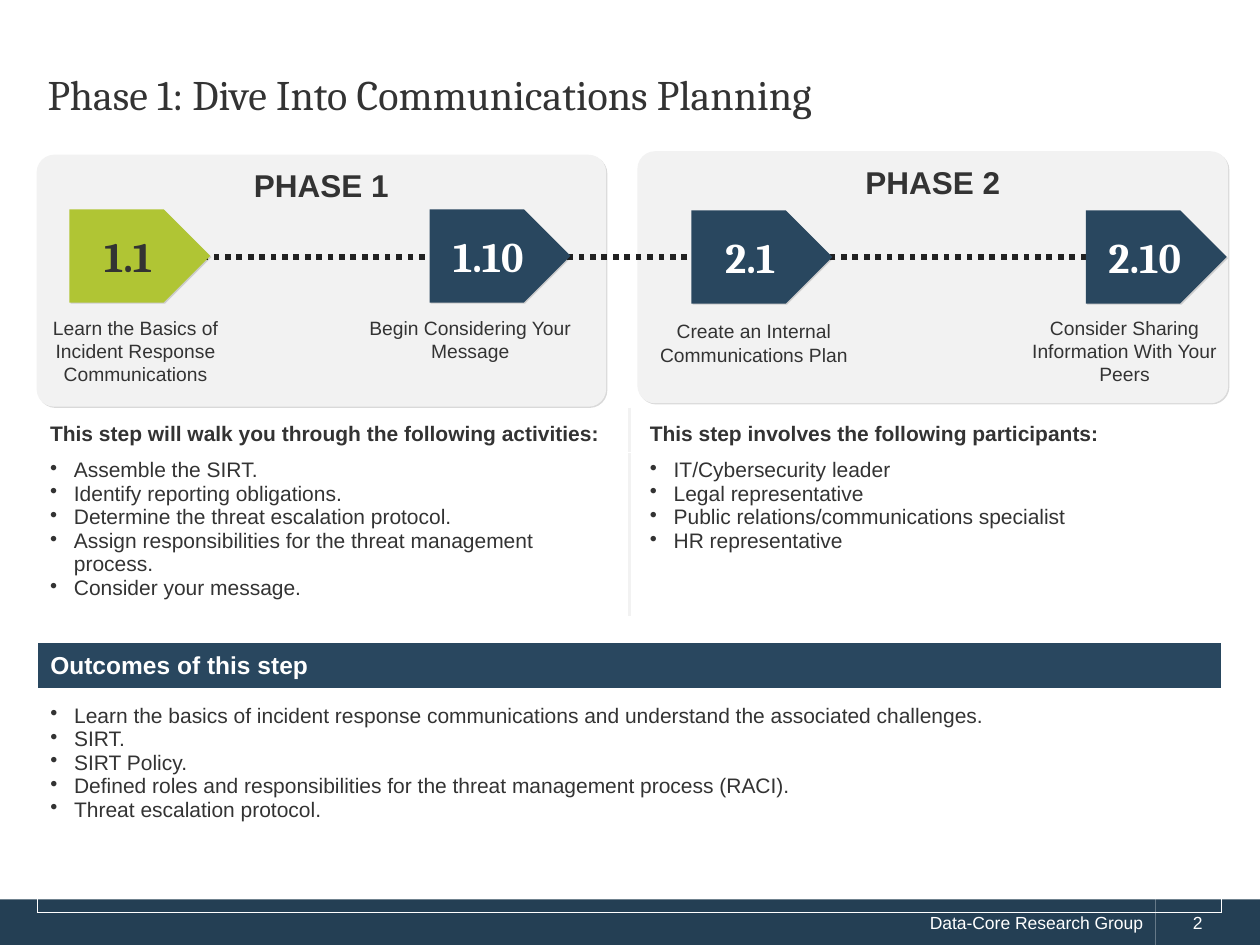
from lxml import etree
from pptx import Presentation
from pptx.dml.color import RGBColor
from pptx.enum.dml import MSO_LINE
from pptx.enum.shapes import MSO_CONNECTOR, MSO_SHAPE
from pptx.enum.text import MSO_ANCHOR, PP_ALIGN
from pptx.oxml import parse_xml
from pptx.oxml.ns import nsdecls, qn
from pptx.util import Cm, Pt

RECT, ROUNDED, PENTAGON = MSO_SHAPE.RECTANGLE, MSO_SHAPE.ROUNDED_RECTANGLE, MSO_SHAPE.PENTAGON
LEFT, CENTER, RIGHT = PP_ALIGN.LEFT, PP_ALIGN.CENTER, PP_ALIGN.RIGHT
TOP, MIDDLE, BOTTOM = MSO_ANCHOR.TOP, MSO_ANCHOR.MIDDLE, MSO_ANCHOR.BOTTOM

THEME = {
    "body": "Arial", "display": "Cambria",
    "text": "333333", "white": "FFFFFF", "navy": "29475F", "green": "B0C534",
    "panel": "F2F2F2", "footer": "243F54", "dots": "212121",
    "title_pt": 24, "step_pt": 24, "phase_pt": 18, "bar_pt": 14,
    "body_pt": 12, "caption_pt": 11, "footer_pt": 10, "spacer_pt": 6,
}

# Content; lengths in cm
TITLE = "Phase 1: Dive Into Communications Planning"
PHASES = [  # name, left, top, width
    ("PHASE 2", 12.85, 3.05, 11.91),
    ("PHASE 1", 0.74, 3.12, 11.48),
]
STEPS = [  # number, left, top, fill, text colour
    ("1.1", 1.4, 4.22, "green", "text"),
    ("1.10", 8.66, 4.22, "navy", "white"),
    ("2.1", 13.94, 4.24, "navy", "white"),
    ("2.10", 21.89, 4.24, "navy", "white"),
]
CAPTIONS = [  # text, left, top, width
    ("Learn the Basics of Incident Response Communications", 0.64, 6.25, 4.19),
    ("Begin Considering Your Message", 6.76, 6.25, 5.44),
    ("Create an Internal Communications Plan", 12.85, 6.32, 4.7),
    ("Consider Sharing Information With Your Peers", 20.47, 6.25, 4.4),
]
COLUMNS = [  # heading, items, left margin
    ("This step will walk you through the following activities:",
     ["Assemble the SIRT.",
      "Identify reporting obligations.",
      "Determine the threat escalation protocol.",
      "Assign responsibilities for the threat management process.",
      "Consider your message."], 0.25),
    ("This step involves the following participants:",
     ["IT/Cybersecurity leader",
      "Legal representative",
      "Public relations/communications specialist",
      "HR representative"], 0.41),
]
OUTCOMES_HEADING = "Outcomes of this step"
OUTCOMES = [
    "Learn the basics of incident response communications and understand the associated challenges.",
    "SIRT.",
    "SIRT Policy.",
    "Defined roles and responsibilities for the threat management process (RACI).",
    "Threat escalation protocol.",
]
FOOTER = [  # text, left, width, alignment, indent
    ("Data-Core Research Group", 0, 23.29, RIGHT, 0.74),
    ("2", 23.29, 2.11, LEFT, 0.51),
]

SLIDE_W, SLIDE_H = 25.4, 19.05
FOOTER_H = 0.92
PANEL_H, STEP_W, STEP_H = 5.08, 2.84, 1.88
LINE_Y, LINE_START, LINE_END = 5.18, 2.9, 24.66
TABLE_X, TABLE_Y, COL_W = 0.76, 8.23, 11.93
ROW_HEIGHTS = [0.89, 3.3, 0.53, 0.94, 4.5]
BULLET_INDENT = 0.48


def rgb(name):
    return RGBColor.from_string(THEME[name])


def write(tf, lines, size, color="text", face="body", bold=False, align=LEFT, indent=0, bullet=False):
    """Fill a text frame with one paragraph per line, all in one style."""
    tf.word_wrap = True
    for i, line in enumerate(lines):
        p = tf.paragraphs[0] if i == 0 else tf.add_paragraph()
        p.text, p.alignment = line, align
        p.font.size, p.font.name, p.font.bold = Pt(THEME[size]), THEME[face], bold
        p.font.color.rgb = rgb(color)
        pPr = p._p.get_or_add_pPr()
        if indent:
            pPr.set("marL", str(Cm(indent)))
        if bullet:
            pPr.set("indent", str(-Cm(indent)))
            pPr.insert(0, parse_xml(f'<a:buChar {nsdecls("a")} char="•"/>'))


def add_block(slide, kind, x, y, w, h, fill, shadow=False):
    s = slide.shapes.add_shape(kind, Cm(x), Cm(y), Cm(w), Cm(h))
    s.fill.solid()
    s.fill.fore_color.rgb = rgb(fill)
    s.line.fill.background()
    s.shadow.inherit = False
    if shadow:
        s._element.spPr.find(qn("a:effectLst")).append(parse_xml(
            f'<a:outerShdw {nsdecls("a")} blurRad="0" dist="12700" dir="2700000">'
            '<a:srgbClr val="000000"><a:alpha val="14000"/></a:srgbClr></a:outerShdw>'))
    return s


def add_text(slide, text, x, y, w, h, size, **style):
    tf = slide.shapes.add_textbox(Cm(x), Cm(y), Cm(w), Cm(h)).text_frame
    write(tf, [text], size, **style)
    return tf


def add_footer(slide):
    for text, x, w, align, indent in FOOTER:
        s = add_block(slide, RECT, x, SLIDE_H - FOOTER_H, w, FOOTER_H, "footer")
        s.text_frame.vertical_anchor = MIDDLE
        write(s.text_frame, [text], "footer_pt", "white", align=align, indent=indent)


def add_roadmap(slide):
    for name, x, y, w in PHASES:
        s = add_block(slide, ROUNDED, x, y, w, PANEL_H, "panel", shadow=True)
        s.adjustments[0] = 0.07
        s.text_frame.vertical_anchor = TOP
        write(s.text_frame, [name], "phase_pt", bold=True, align=CENTER)

    line = slide.shapes.add_connector(
        MSO_CONNECTOR.STRAIGHT, Cm(LINE_END), Cm(LINE_Y), Cm(LINE_START), Cm(LINE_Y))
    line.line.color.rgb = rgb("dots")
    line.line.width = Pt(3.25)
    line.line.dash_style = MSO_LINE.ROUND_DOT
    etree.SubElement(line._element.spPr, qn("a:effectLst"))

    for number, x, y, fill, color in STEPS:
        s = add_block(slide, PENTAGON, x, y, STEP_W, STEP_H, fill, shadow=True)
        s.text_frame.vertical_anchor = MIDDLE
        write(s.text_frame, [number], "step_pt", color, "display", bold=True, align=CENTER)
    for text, x, y, w in CAPTIONS:
        add_text(slide, text, x, y, w, 1.68, "caption_pt", align=CENTER)


def set_divider(cell, side):
    cell._tc.get_or_add_tcPr().insert(0, parse_xml(
        f'<a:{side} {nsdecls("a")} w="19050"><a:solidFill>'
        f'<a:srgbClr val="{THEME["panel"]}"/></a:solidFill></a:{side}>'))


def add_details(slide):
    table = slide.shapes.add_table(
        len(ROW_HEIGHTS), len(COLUMNS), Cm(TABLE_X), Cm(TABLE_Y),
        Cm(COL_W * len(COLUMNS)), Cm(sum(ROW_HEIGHTS))).table
    table.first_row = table.horz_banding = False
    for row, height in zip(table.rows, ROW_HEIGHTS):
        row.height = Cm(height)
    for cell in table.iter_cells():
        cell.fill.background()

    for c, (heading, items, margin) in enumerate(COLUMNS):
        head, body, spacer = (table.cell(r, c) for r in range(3))
        head.vertical_anchor = BOTTOM
        write(head.text_frame, [heading], "body_pt", bold=True)
        write(body.text_frame, items, "body_pt", indent=BULLET_INDENT, bullet=True)
        for cell in (head, body):
            cell.margin_left = Cm(margin)
            set_divider(cell, "lnL" if c else "lnR")
        end = spacer.text_frame.paragraphs[0]._p.get_or_add_endParaRPr()
        end.set("sz", str(THEME["spacer_pt"] * 100))

    bar, outcomes = table.cell(3, 0), table.cell(4, 0)
    for r, cell in ((3, bar), (4, outcomes)):
        cell.merge(table.cell(r, 1))
    bar.fill.solid()
    bar.fill.fore_color.rgb = rgb("navy")
    bar.vertical_anchor = MIDDLE
    write(bar.text_frame, [OUTCOMES_HEADING], "bar_pt", "white", bold=True)
    outcomes.margin_top = Cm(0.3)
    write(outcomes.text_frame, OUTCOMES, "body_pt", indent=BULLET_INDENT, bullet=True)


def main():
    prs = Presentation()
    prs.slide_width, prs.slide_height = Cm(SLIDE_W), Cm(SLIDE_H)
    slide = prs.slides.add_slide(prs.slide_layouts[6])
    add_footer(slide)
    title = add_text(slide, TITLE, 0.71, 0.74, 23.95, 2.39, "title_pt", face="display")
    title.vertical_anchor = MIDDLE
    title.paragraphs[0].line_spacing = Pt(26)
    add_roadmap(slide)
    add_details(slide)
    prs.save("out.pptx")


if __name__ == "__main__":
    main()
